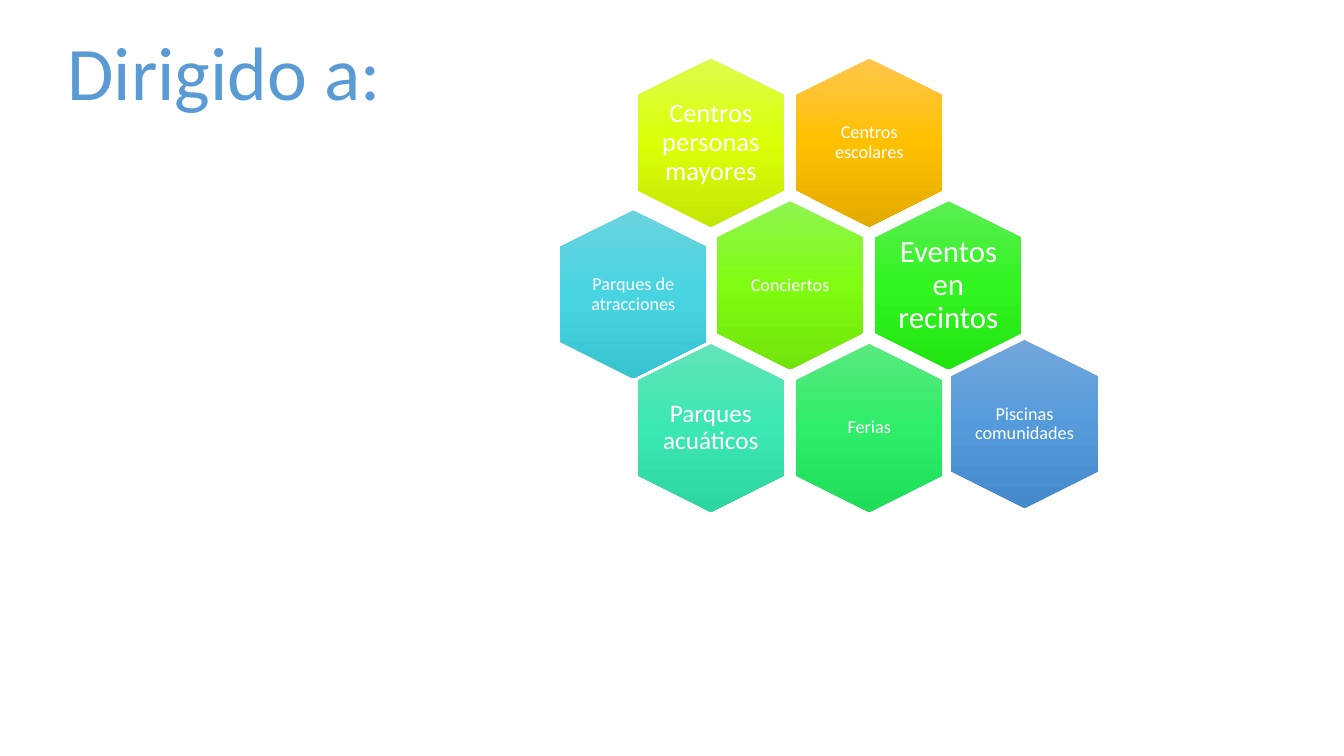
import copy

import pptx
import pptx.dml.color
import pptx.enum.shapes
import pptx.enum.text
import pptx.oxml.ns
import pptx.util

Pt = pptx.util.Pt
qn = pptx.oxml.ns.qn

COLORS = {
    "text": "FFFFFF",
    "title": ("1F4E79", "5B9BD5", "9DC3E6"),
    "orange": ("FFC64B", "FFC000", "E3AB00"),
    "yellow": ("DCFC4C", "DCFF07", "C5E504"),
    "lime": ("8EF54F", "7FFC11", "71E50A"),
    "green": ("5BEF53", "31F420", "22E411"),
    "emerald": ("59E97E", "2EED69", "1FDD59"),
    "teal": ("61E4B9", "3BE7B3", "2CD6A2"),
    "cyan": ("69D4DF", "48D4E1", "38C3D0"),
    "blue": ("71A6DB", "559BDB", "448ACA"),
}

# Honeycomb geometry, in points
HEX_LENGTH, HEX_WIDTH = 120, 104.4
GRID_LEFT, GRID_TOP = 447.8, 49.7
COLUMN_STEP, ROW_STEP = 113.1, 101.9
LABEL_WIDTH, LABEL_HEIGHT = 72, 82.8

# Label, column, row, horizontal and vertical nudge, colour, size, inset
AUDIENCES = [
    ("Centros escolares", 1, 0, 0, 0, "orange", 13, 3.6),
    ("Centros personas mayores", 0, 0, 0, 0, "yellow", 19, 0),
    ("Conciertos", 0.5, 1, 0, 0, "lime", 13, 3.6),
    ("Eventos en recintos", 1.5, 1, 0, 0, "green", 22, 0),
    ("Ferias", 1, 2, 0, 0, "emerald", 13, 3.6),
    ("Parques acuáticos", 0, 2, 0, 0, "teal", 18, 0),
    ("Parques de atracciones", -0.5, 1, 1.1, 6.4, "cyan", 13, 3.6),
    ("Piscinas comunidades", 2, 2, -2.2, -2.9, "blue", 13, 0),
]


class SlideBuilder:
    font_name = "Calibri"

    def __init__(self, slide):
        self.slide = slide

    def gradient(self, fill, owner, colors):
        """Three-stop gradient running from top to bottom."""
        fill.gradient()
        fill.gradient_angle = 270
        grad = owner.find(".//" + qn("a:gradFill"))
        grad.set("rotWithShape", "0")
        stops = grad.find(qn("a:gsLst"))
        stops.append(copy.deepcopy(stops[-1]))
        for stop, position, color in zip(fill.gradient_stops, (0, 0.5, 1), colors):
            stop.position = position
            stop.color.rgb = pptx.dml.color.RGBColor.from_string(color)

    def hexagon(self, left, top, color):
        cell = self.slide.shapes.add_shape(
            pptx.enum.shapes.MSO_SHAPE.HEXAGON,
            Pt(left), Pt(top), Pt(HEX_LENGTH), Pt(HEX_WIDTH))
        cell.rotation = 90
        cell.adjustments[0] = 0.25
        cell.adjustments[1] = 1.1547
        cell.shadow.inherit = False
        cell.line.fill.background()
        self.gradient(cell.fill, cell._element.spPr, COLORS[color])

    def text(self, wording, left, top, width, height, size):
        box = self.slide.shapes.add_textbox(Pt(left), Pt(top), Pt(width), Pt(height))
        paragraph = box.text_frame.paragraphs[0]
        paragraph.text = wording
        paragraph.alignment = pptx.enum.text.PP_ALIGN.CENTER
        paragraph.font.name = self.font_name
        paragraph.font.size = Pt(size)
        return box.text_frame, paragraph

    def label(self, wording, left, top, size, inset):
        frame, paragraph = self.text(wording, left, top, LABEL_WIDTH, LABEL_HEIGHT, size)
        frame.word_wrap = True
        frame.vertical_anchor = pptx.enum.text.MSO_ANCHOR.MIDDLE
        frame.margin_left = frame.margin_right = Pt(inset)
        frame.margin_top = frame.margin_bottom = Pt(inset)
        paragraph.line_spacing = 0.9
        paragraph.font.color.rgb = pptx.dml.color.RGBColor.from_string(COLORS["text"])

    def title(self, wording, left, top, width, height, size):
        frame, paragraph = self.text(wording, left, top, width, height, size)
        frame.word_wrap = False
        frame.auto_size = pptx.enum.text.MSO_AUTO_SIZE.SHAPE_TO_FIT_TEXT
        run = paragraph.runs[0]
        self.gradient(run.font.fill, run._r, COLORS["title"])


def main():
    presentation = pptx.Presentation()
    presentation.slide_width = Pt(960)
    presentation.slide_height = Pt(540)
    builder = SlideBuilder(presentation.slides.add_slide(presentation.slide_layouts[6]))

    # Honeycomb of audiences
    for wording, column, row, dx, dy, color, size, inset in AUDIENCES:
        left = GRID_LEFT + column * COLUMN_STEP + dx
        top = GRID_TOP + row * ROW_STEP + dy
        builder.hexagon(left, top, color)
        builder.label(wording, left + (HEX_LENGTH - LABEL_WIDTH) / 2,
                      top + (HEX_WIDTH - LABEL_HEIGHT) / 2, size, inset)

    # Title
    builder.title("Dirigido a:", 39.6, 14.4, 241.2, 72.7, 54)

    presentation.save("out.pptx")


if __name__ == "__main__":
    main()
